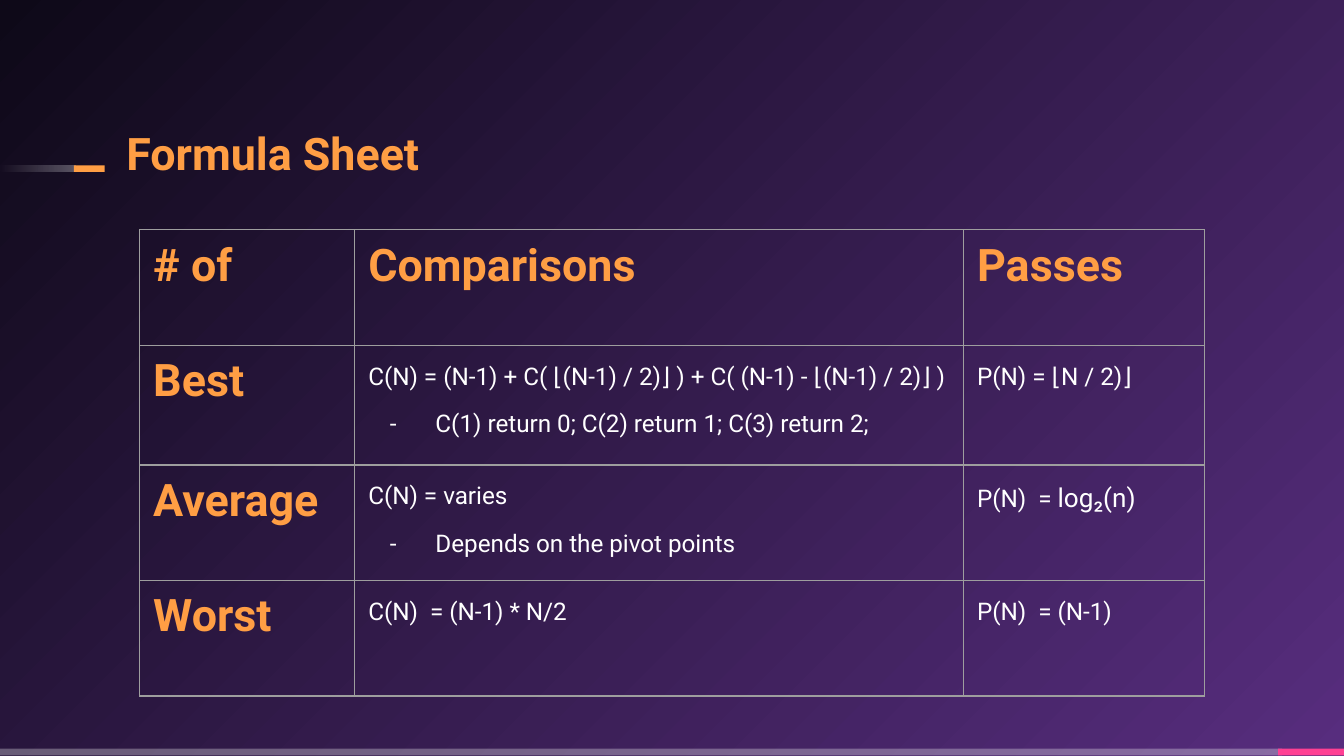
from dataclasses import dataclass

from lxml.etree import SubElement
from pptx import Presentation
from pptx.dml.color import RGBColor
from pptx.enum.shapes import MSO_SHAPE as Shape
from pptx.enum.text import MSO_ANCHOR as Anchor, MSO_AUTO_SIZE as AutoSize, PP_ALIGN as Align
from pptx.oxml import parse_xml
from pptx.oxml.ns import nsdecls, qn
from pptx.util import Inches, Pt


@dataclass(frozen=True)
class Theme:
    """Colours, font and type sizes of the slide."""

    orange: str = "FF9E44"
    white: str = "FFFFFF"
    pink: str = "FF4093"
    purple: str = "572D7E"
    night: str = "0E0918"
    grey: str = "9E9E9E"
    font: str = "Roboto"
    heading: int = 24
    body: int = 13
    large: int = 14


THEME = Theme()


def write(paragraph, text, size=THEME.body, color=THEME.white, bold=False,
          line=1.15, before=0, after=0):
    """Add a formatted run to a paragraph and set its spacing."""
    paragraph.alignment = Align.LEFT
    paragraph.line_spacing = line
    paragraph.space_before = Pt(before)
    paragraph.space_after = Pt(after)
    run = paragraph.add_run()
    run.text = text
    run.font.name = THEME.font
    run.font.size = Pt(size)
    run.font.bold = bold
    run.font.color.rgb = RGBColor.from_string(color)


def write_heading(paragraph, text):
    """Write text in the heading style."""
    write(paragraph, text, size=THEME.heading, color=THEME.orange, bold=True, line=0.9)


def add_bullet(paragraph, character="-"):
    """Give a paragraph a hanging bullet."""
    properties = paragraph._p.get_or_add_pPr()
    properties.set("marL", str(Inches(0.5)))
    properties.set("indent", str(Inches(-0.34)))
    color = SubElement(properties, qn("a:buClr"))
    SubElement(color, qn("a:srgbClr"), val=THEME.white)
    SubElement(properties, qn("a:buFont"), typeface=THEME.font)
    SubElement(properties, qn("a:buChar"), char=character)


def set_gradient(fill, element, stops, direction):
    """Fill an element with (position, colour, opacity) stops along a direction."""
    fill.gradient()
    gradient = element.find(".//" + qn("a:gradFill"))
    gradient.clear()
    stop_list = SubElement(gradient, qn("a:gsLst"))
    for position, color, opacity in stops:
        stop = SubElement(stop_list, qn("a:gs"), pos=str(position * 1000))
        swatch = SubElement(stop, qn("a:srgbClr"), val=color)
        SubElement(swatch, qn("a:alpha"), val=str(opacity * 1000))
    gradient.append(parse_xml(direction))


class SlideBuilder:
    """Hold the theme and the current slide and add elements to it."""

    def __init__(self, presentation, theme):
        """Start a slide with only a title placeholder."""
        self.theme = theme
        self.slide = presentation.slides.add_slide(presentation.slide_layouts[5])

    def background(self):
        """Spread a glow from the bottom right corner."""
        stops = [(0, self.theme.purple, 100), (100, self.theme.night, 100)]
        direction = (f'<a:path {nsdecls("a")} path="circle">'
                     '<a:fillToRect l="100000" t="100000"/></a:path>')
        set_gradient(self.slide.background.fill, self.slide.element, stops, direction)

    def bar(self, left, top, width, color, opacity=100, fade=False):
        """Add a thin bar, optionally fading out to the left."""
        shape = self.slide.shapes.add_shape(
            Shape.RECTANGLE, Inches(left), Inches(top), Inches(width), Inches(0.05))
        shape.shadow.inherit = False
        shape.line.fill.background()
        if fade:
            direction = f'<a:lin {nsdecls("a")} ang="10800000" scaled="0"/>'
            stops = [(0, color, opacity), (100, color, 0)]
            set_gradient(shape.fill, shape.element, stops, direction)
            return
        shape.fill.solid()
        shape.fill.fore_color.rgb = RGBColor.from_string(color)
        if opacity < 100:
            swatch = shape.element.spPr.find(".//" + qn("a:srgbClr"))
            SubElement(swatch, qn("a:alpha"), val=str(opacity * 1000))

    def title(self, text):
        """Place and fill the title placeholder."""
        title = self.slide.shapes.title
        title.left, title.top = Inches(0.94), Inches(0.91)
        title.width, title.height = Inches(7.81), Inches(0.43)
        frame = title.text_frame
        frame.auto_size = AutoSize.NONE
        frame.vertical_anchor = Anchor.BOTTOM
        frame.margin_left = frame.margin_right = frame.margin_top = frame.margin_bottom = 0
        write_heading(frame.paragraphs[0], text)

    def table(self, left, top, widths, heights, rows):
        """Add a ruled table whose first row and column are headings."""
        table = self.slide.shapes.add_table(
            len(heights), len(widths), Inches(left), Inches(top),
            Inches(sum(widths)), Inches(sum(heights))).table
        table.first_row = table.horz_banding = False
        for column, width in zip(table.columns, widths):
            column.width = Inches(width)
        for row, height in zip(table.rows, heights):
            row.height = Inches(height)
        for row_index, row in enumerate(rows):
            for column_index, content in enumerate(row):
                cell = table.cell(row_index, column_index)
                self.frame_cell(cell)
                if row_index == 0 or column_index == 0:
                    write_heading(cell.text_frame.paragraphs[0], content)
                else:
                    self.fill_cell(cell, *content)

    def frame_cell(self, cell):
        """Clear a cell's fill, set its margins and draw its borders."""
        cell.fill.background()
        cell.margin_left = cell.margin_right = Inches(0.1)
        cell.margin_top = cell.margin_bottom = Inches(0.1)
        properties = cell._tc.get_or_add_tcPr()
        for index, side in enumerate("LRTB"):
            properties.insert(index, parse_xml(
                f'<a:ln{side} {nsdecls("a")} w="{Pt(0.75)}"><a:solidFill>'
                f'<a:srgbClr val="{self.theme.grey}"/></a:solidFill></a:ln{side}>'))

    def fill_cell(self, cell, formula, bullet="", large=""):
        """Write a formula with an optional larger ending and bullet line."""
        frame = cell.text_frame
        after = 0 if bullet else 8
        write(frame.paragraphs[0], formula, after=after)
        if large:
            write(frame.paragraphs[0], large, size=self.theme.large, after=after)
        if bullet:
            paragraph = frame.add_paragraph()
            write(paragraph, bullet, before=8)
            add_bullet(paragraph)


def main():
    """Build the formula sheet and save it."""
    presentation = Presentation()
    presentation.slide_width = Inches(10)
    presentation.slide_height = Inches(10) * 9 // 16
    builder = SlideBuilder(presentation, THEME)
    builder.background()
    builder.bar(0, 5.57, 9.54, THEME.white, opacity=30)
    builder.bar(9.51, 5.57, 0.49, THEME.pink)
    builder.bar(0, 1.23, 0.56, THEME.white, opacity=30, fade=True)
    builder.bar(0.55, 1.23, 0.23, THEME.orange)
    builder.title("Formula Sheet")
    rows = [
        ("# of", "Comparisons", "Passes"),
        ("Best",
         ("C(N) = (N-1) + C( ⌊(N-1) / 2)⌋ ) + C( (N-1) - ⌊(N-1) / 2)⌋ )",
          "C(1) return 0; C(2) return 1; C(3) return 2;"),
         ("P(N) = ⌊N / 2)⌋",)),
        ("Average",
         ("C(N) = varies", "Depends on the pivot points"),
         ("P(N)  = ", "", "log₂(n)")),
        ("Worst", ("C(N)  = (N-1) * N/2",), ("P(N)  = (N-1)",)),
    ]
    builder.table(1.04, 1.71, [1.6, 4.53, 1.79], [0.86, 0.89, 0.86, 0.86], rows)
    presentation.save("out.pptx")


if __name__ == "__main__":
    main()
